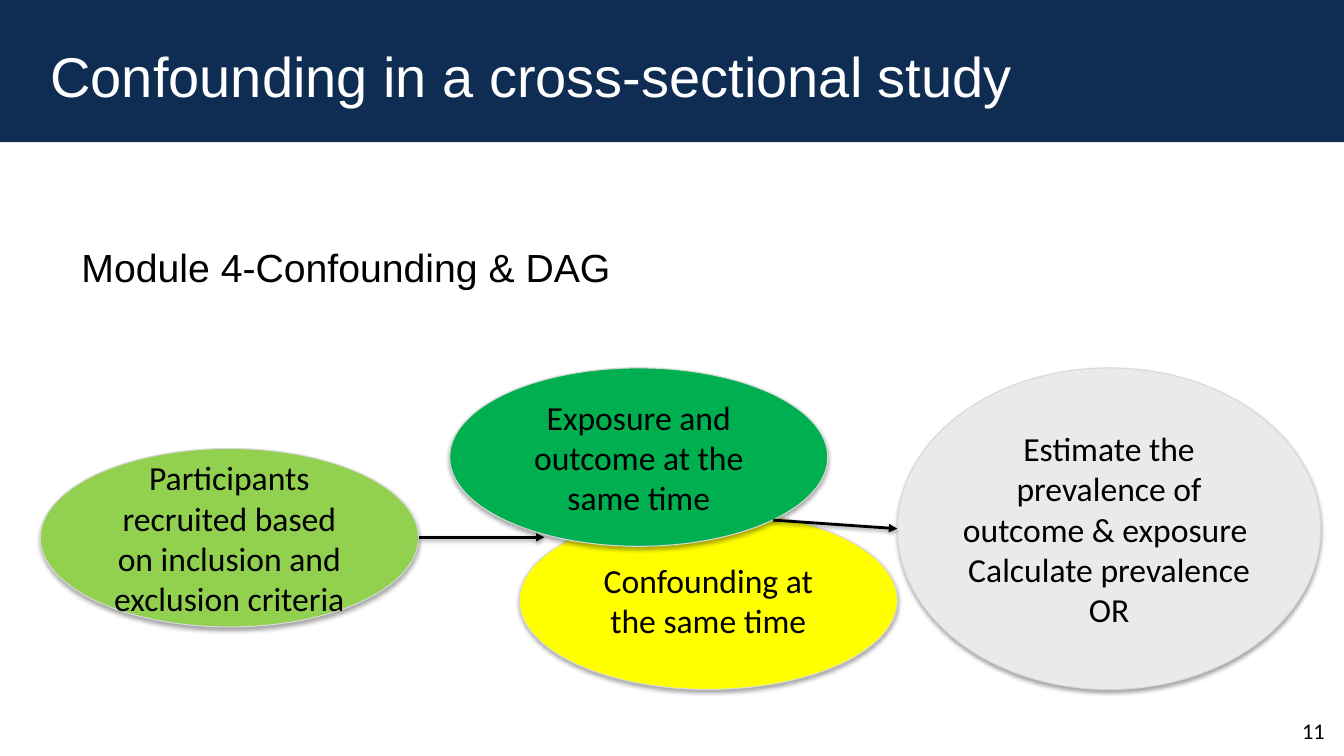
import lxml.etree
import pptx
import pptx.chart.data
import pptx.dml.color
import pptx.enum.shapes
import pptx.enum.text
import pptx.oxml
import pptx.oxml.ns
import pptx.util

# Content
TITLE = "Confounding in a cross-sectional study"
MODULE = "Module 4-Confounding & DAG"
PAGE_NUMBER = "11"

# Sizes in inches
WIDTH, HEIGHT = 13.33, 7.5
BAND_HEIGHT = 1.41
OVAL = (3.75, 1.77)
BIG_OVAL = (4.2, 3.19)
UPPER, MIDDLE, LOWER = 3.65, 4.45, 5.07
BIG_LEFT = 8.9

# Each stage: left, top, size, colour name, text inset, paragraphs (back to front)
STAGES = [
    (0.4, MIDDLE, OVAL, "recruit", 0.1,
     ["Participants recruited based on inclusion and exclusion criteria"]),
    (BIG_LEFT, UPPER, BIG_OVAL, "estimate", 0,
     ["Estimate the prevalence of outcome & exposure ", "Calculate prevalence OR"]),
    (BIG_LEFT - OVAL[0], LOWER, OVAL, "confound", 0.1, ["Confounding at the same time"]),
    (4.46, UPPER, OVAL, "measure", 0.1, ["Exposure and outcome at the same time"]),
]
ARROWS = [
    ((4.16, 5.33), (5.4, 5.33)),
    ((7.67, 5.16), (BIG_LEFT, UPPER + BIG_OVAL[1] / 2)),
]

THEME = {
    "color": {"band": "0F2C52", "light": "FFFFFF", "ink": "000000", "edge": "D8D8D8",
              "recruit": "92D050", "estimate": "EAEAEA",
              "confound": "FFFF00", "measure": "00B050"},
    "size": {"title": 40, "module": 28, "stage": 24, "number": 16},
    "heading": "Arial",
    "body": "Calibri",
}
ALIGN = pptx.enum.text.PP_ALIGN
ANCHOR = pptx.enum.text.MSO_ANCHOR
SHAPE = pptx.enum.shapes.MSO_SHAPE
Inches = pptx.util.Inches
Pt = pptx.util.Pt


def color(name):
    return pptx.dml.color.RGBColor.from_string(THEME["color"][name])


def inches(*lengths):
    return [Inches(length) for length in lengths]


def write(box, paragraphs, size, font="body", ink="ink", align=ALIGN.LEFT,
          anchor=ANCHOR.MIDDLE, insets=(0.1, 0.05, 0.1, 0.05), spacing=1.0):
    frame = box.text_frame
    frame.word_wrap = True
    frame.auto_size = pptx.enum.text.MSO_AUTO_SIZE.NONE
    frame.vertical_anchor = anchor
    (frame.margin_left, frame.margin_top,
     frame.margin_right, frame.margin_bottom) = inches(*insets)
    frame.text = "\n".join(paragraphs)
    for para in frame.paragraphs:
        para.alignment = align
        para.line_spacing = spacing
        para.font.name = THEME[font]
        para.font.size = Pt(THEME["size"][size])
        para.font.color.rgb = color(ink)


def add_shadow(shape, opacity, distance):
    """Soft black shadow straight below; distance in points."""
    properties = shape.element.spPr
    for old in properties.findall(pptx.oxml.ns.qn("a:effectLst")):
        properties.remove(old)
    properties.append(pptx.oxml.parse_xml(
        f'<a:effectLst {pptx.oxml.ns.nsdecls("a")}>'
        f'<a:outerShdw blurRad="{Pt(3.1)}" dist="{Pt(distance)}" dir="5400000" rotWithShape="0">'
        f'<a:srgbClr val="{THEME["color"]["ink"]}"><a:alpha val="{opacity * 1000}"/></a:srgbClr>'
        '</a:outerShdw></a:effectLst>'))


def add_stage(page, left, top, size, fill, inset, paragraphs):
    oval = page.shapes.add_shape(SHAPE.OVAL, *inches(left, top, *size))
    oval.fill.solid()
    oval.fill.fore_color.rgb = color(fill)
    oval.line.color.rgb = color("edge")
    oval.line.width = Pt(0.75)
    add_shadow(oval, 35, 1.8)
    write(oval, paragraphs, "stage", align=ALIGN.CENTER,
          insets=(inset, inset / 2, inset, inset / 2))


def add_arrow(page, start, end):
    arrow = page.shapes.add_connector(
        pptx.enum.shapes.MSO_CONNECTOR.STRAIGHT, *inches(*start, *end))
    arrow.line.color.rgb = color("ink")
    arrow.line.width = Pt(2)
    lxml.etree.SubElement(arrow.line._get_or_add_ln(),
                          pptx.oxml.ns.qn("a:tailEnd"), type="triangle")
    add_shadow(arrow, 38, 1.6)


def main():
    deck = pptx.Presentation()
    deck.slide_width, deck.slide_height = inches(WIDTH, HEIGHT)
    page = deck.slides.add_slide(deck.slide_layouts.get_by_name("Title Only"))

    # Title on its band
    title = page.shapes.title
    title.left, title.top, title.width, title.height = inches(0.4, 0.32, 12.35, 0.93)
    write(title, [TITLE], "title", font="heading", ink="light", spacing=0.9)
    band = page.shapes.add_shape(SHAPE.RECTANGLE, *inches(0, 0, WIDTH, BAND_HEIGHT))
    band.fill.solid()
    band.fill.fore_color.rgb = color("band")
    band.line.fill.background()
    band.shadow.inherit = False
    title.element.addprevious(band.element)

    # Module name and page number
    module = page.shapes.add_textbox(*inches(0.71, 1.74, 11.33, 1.64))
    write(module, [MODULE], "module", font="heading", anchor=ANCHOR.BOTTOM,
          insets=(0.1, 0.05, 0.1, 0.5))
    number = page.shapes.add_textbox(*inches(12.33, 6.98, 0.81, 0.4))
    write(number, [PAGE_NUMBER], "number", align=ALIGN.RIGHT, anchor=ANCHOR.BOTTOM,
          insets=(0, 0, 0, 0))

    # Study flow
    for stage in STAGES:
        add_stage(page, *stage)
    for start, end in ARROWS:
        add_arrow(page, start, end)

    deck.save("out.pptx")


if __name__ == "__main__":
    main()
